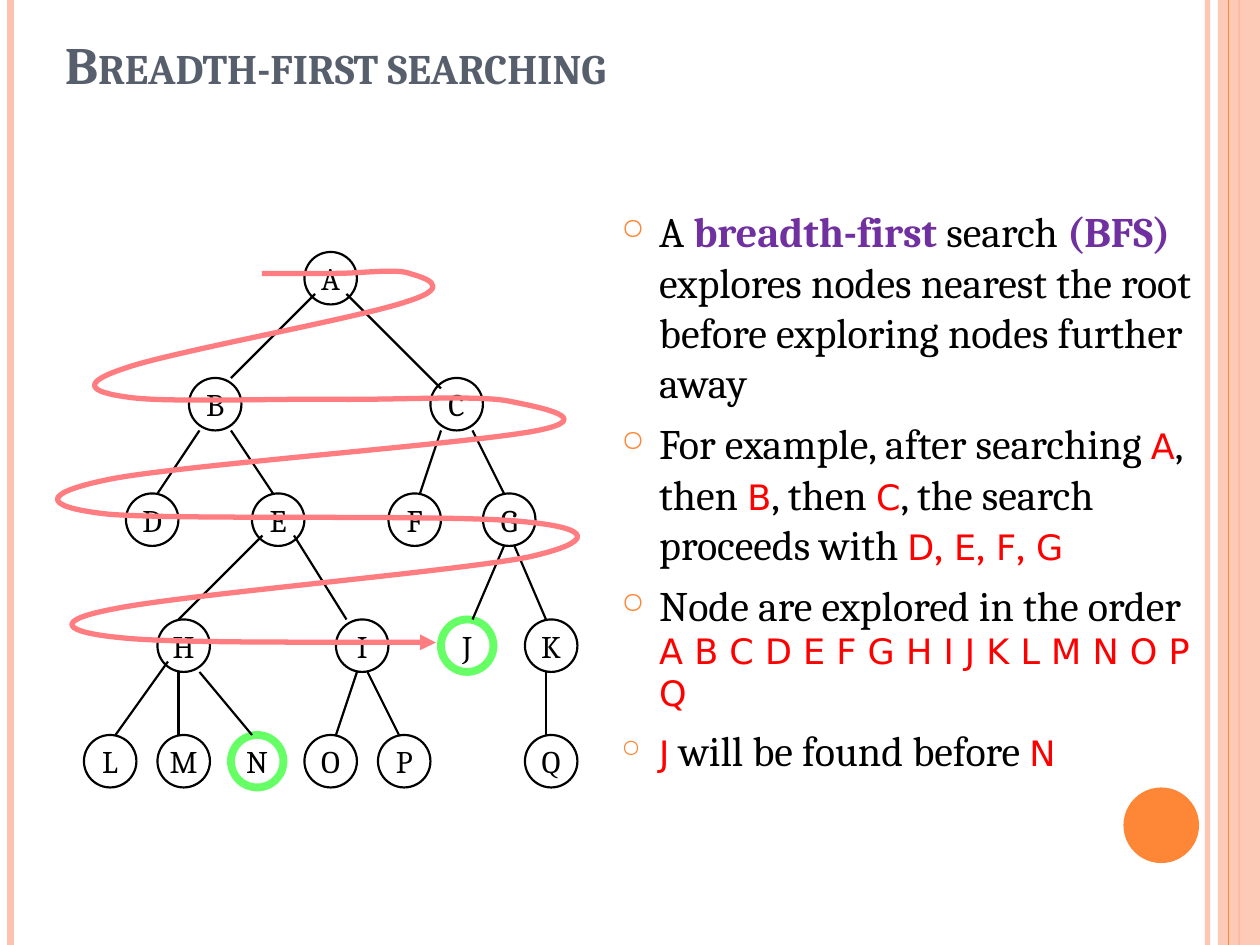
from dataclasses import dataclass
from typing import NamedTuple

from lxml.etree import SubElement
from pptx import Presentation
from pptx.dml.color import RGBColor
from pptx.enum.shapes import MSO_CONNECTOR, MSO_SHAPE
from pptx.enum.text import MSO_ANCHOR, PP_ALIGN
from pptx.oxml.ns import qn
from pptx.util import Emu, Inches, Pt

CELL = Inches(1) // 12  # the slide is a grid of 120 columns by 90 rows
COLUMNS, ROWS = 120, 90
NODE_SIZE = 5


class Style(NamedTuple):
    size: int
    font: str
    color: str
    bold: bool = False


@dataclass(frozen=True)
class Theme:
    orange: str = "FE8637"
    peach: str = "FEC3AE"
    ink: str = "000000"
    goal: str = "66FF66"
    route: str = "FF7C80"
    title: Style = Style(30, "Cambria", "575F6D", True)
    body: Style = Style(24, "Cambria", "000000")
    term: Style = Style(24, "Cambria", "7030A0", True)
    letter: Style = Style(20, "DejaVu Sans", "FF0000")
    comma: Style = Style(24, "Cambria", "FF0000")
    node: Style = Style(18, "Cambria", "000000")


THEME = Theme()


class Rule(NamedTuple):
    x: float
    color: str
    width: float
    opacity: int = 100


class Level(NamedTuple):
    row: int
    columns: dict[str, int]


class Edge(NamedTuple):
    x1: int
    y1: int
    x2: int
    y2: int


RULES = [Rule(115, THEME.peach, 3, 93), Rule(1, THEME.peach, 4.5),
         Rule(118, THEME.orange, 1.5)]
BAND_RULE = Rule(117, THEME.orange, 0.75)

LEVELS = [
    Level(24, {"A": 29}),
    Level(36, {"B": 18, "C": 41}),
    Level(47, {"D": 12, "E": 24, "F": 37, "G": 46}),
    Level(59, {"H": 15, "I": 32, "J": 42, "K": 50}),
    Level(70, {"L": 8, "M": 15, "N": 22, "O": 29, "P": 36, "Q": 50}),
]
GOALS = {"J", "N"}

EDGES = [
    Edge(22, 36, 30, 28), Edge(33, 28, 42, 37),
    Edge(19, 41, 15, 47), Edge(22, 41, 26, 47),
    Edge(42, 41, 40, 47), Edge(45, 41, 48, 47),
    Edge(17, 59, 25, 51), Edge(33, 59, 28, 51),
    Edge(45, 59, 48, 52), Edge(52, 59, 49, 52),
    Edge(11, 70, 16, 63), Edge(17, 70, 17, 64), Edge(24, 70, 19, 64),
    Edge(32, 70, 34, 64), Edge(38, 70, 35, 64), Edge(52, 70, 52, 64),
]

# Search route in inches: start, then two handles and an end for each curve
ROUTE_START = (2.08, 2.17)
ROUTE_CURVES = [
    ((2.18, 2.17), (2.47, 2.17), (2.67, 2.17)),
    ((2.86, 2.17), (3.15, 2.13), (3.25, 2.17)),
    ((3.35, 2.2), (3.62, 2.27), (3.24, 2.39)),
    ((2.87, 2.52), (1.37, 2.79), (1, 2.92)),
    ((0.63, 3.04), (0.71, 3.11), (1, 3.15)),
    ((1.29, 3.2), (2.25, 3.16), (2.75, 3.17)),
    ((3.25, 3.17), (3.77, 3.14), (4.02, 3.18)),
    ((4.27, 3.23), (4.77, 3.32), (4.25, 3.42)),
    ((3.73, 3.52), (1.46, 3.69), (0.89, 3.8)),
    ((0.33, 3.91), (0.31, 4.02), (0.85, 4.08)),
    ((1.39, 4.13), (3.59, 4.08), (4.15, 4.14)),
    ((4.71, 4.19), (4.73, 4.3), (4.2, 4.42)),
    ((3.66, 4.53), (1.46, 4.72), (0.92, 4.83)),
    ((0.38, 4.93), (0.53, 5.02), (0.95, 5.06)),
    ((1.38, 5.11), (2.94, 5.09), (3.46, 5.1)),
]

BODY, TERM, LETTER, COMMA = THEME.body, THEME.term, THEME.letter, THEME.comma
POINTS = [
    [("A ", BODY), ("breadth-first", TERM), (" search ", BODY), ("(BFS) ", TERM),
     ("explores nodes nearest the root before exploring nodes further away", BODY)],
    [("For example, after searching ", BODY), ("A", LETTER), (", then ", BODY),
     ("B", LETTER), (", then ", BODY), ("C", LETTER),
     (", the search proceeds with ", BODY), ("D", LETTER), (",", COMMA),
     (" E", LETTER), (",", COMMA), (" F", LETTER), (",", COMMA), (" G", LETTER)],
    [("Node are explored in the order ", BODY),
     ("A B C D E F G H I J K L M N O P Q", LETTER)],
    [("J", LETTER), (" will be found before ", BODY), ("N", LETTER)],
]


def grid(cells: float) -> Emu:
    return Emu(round(cells * CELL))


def set_opacity(fill_parent, percent: int) -> None:
    color = next(fill_parent.iter(qn("a:srgbClr")))
    SubElement(color, qn("a:alpha"), val=str(percent * 1000))


def style_run(run, style: Style) -> None:
    font = run.font
    font.size, font.name, font.bold = Pt(style.size), style.font, style.bold
    font.color.rgb = RGBColor.from_string(style.color)


def set_line(line, color: str, width: float) -> None:
    line.color.rgb = RGBColor.from_string(color)
    line.width = Pt(width)


def add_line(shapes, edge: Edge, color: str, width: float):
    line = shapes.add_connector(MSO_CONNECTOR.STRAIGHT, *map(grid, edge))
    set_line(line.line, color, width)
    SubElement(line._element.spPr, qn("a:effectLst"))
    return line


def add_rule(shapes, rule: Rule) -> None:
    line = add_line(shapes, Edge(rule.x, 0, rule.x, ROWS), rule.color, rule.width)
    if rule.opacity < 100:
        set_opacity(line._element.spPr, rule.opacity)


def add_filled(shapes, preset, x: float, y: float, width: float, height: float, color: str):
    shape = shapes.add_shape(preset, *map(grid, (x, y, width, height)))
    shape.shadow.inherit = False
    shape.fill.solid()
    shape.fill.fore_color.rgb = RGBColor.from_string(color)
    shape.line.fill.background()
    return shape


def add_frame(slide) -> None:
    for rule in RULES:
        add_rule(slide.shapes, rule)
    band = add_filled(slide.shapes, MSO_SHAPE.RECTANGLE, 116, 0, 4, ROWS, THEME.peach)
    set_opacity(band._element.spPr, 87)
    add_rule(slide.shapes, BAND_RULE)
    add_filled(slide.shapes, MSO_SHAPE.OVAL, 107, 75, 7.2, 7.2, THEME.orange)


def add_title(slide) -> None:
    frame = slide.shapes.add_textbox(*map(grid, (5, 1, 98, 8.6))).text_frame
    frame.word_wrap, frame.vertical_anchor = True, MSO_ANCHOR.BOTTOM
    frame.text = "Breadth-first searching"
    run = frame.paragraphs[0].runs[0]
    style_run(run, THEME.title)
    run.font._element.set("cap", "small")


def add_bullet(paragraph) -> None:
    indent = Inches(0.3)
    props = paragraph._p.get_or_add_pPr()
    props.set("marL", str(indent))
    props.set("indent", str(-indent))
    SubElement(SubElement(props, qn("a:buClr")), qn("a:srgbClr"), val=THEME.orange)
    SubElement(props, qn("a:buSzPct"), val="70000")
    SubElement(props, qn("a:buChar"), char="○")


def add_points(slide) -> None:
    frame = slide.shapes.add_textbox(*map(grid, (58, 19, 57, 66))).text_frame
    frame.word_wrap = True
    for index, point in enumerate(POINTS):
        paragraph = frame.add_paragraph() if index else frame.paragraphs[0]
        paragraph.space_before = Pt(6)
        add_bullet(paragraph)
        for words, style in point:
            run = paragraph.add_run()
            run.text = words
            style_run(run, style)


def add_node(shapes, letter: str, column: int, row: int) -> None:
    node = shapes.add_shape(MSO_SHAPE.OVAL, *map(grid, (column, row, NODE_SIZE, NODE_SIZE)))
    node.shadow.inherit = False
    node.fill.background()
    set_line(node.line, *((THEME.goal, 4.5) if letter in GOALS else (THEME.ink, 1.25)))
    frame = node.text_frame
    frame.word_wrap, frame.vertical_anchor = False, MSO_ANCHOR.MIDDLE
    frame.text = letter
    frame.paragraphs[0].alignment = PP_ALIGN.CENTER
    style_run(frame.paragraphs[0].runs[0], THEME.node)


def add_tree(slide) -> None:
    shapes = slide.shapes.add_group_shape().shapes
    for level in LEVELS:
        for letter, column in level.columns.items():
            add_node(shapes, letter, column, level.row)
    for edge in EDGES:
        add_line(shapes, edge, THEME.ink, 1.25)


def add_route(slide) -> None:
    """Draw the search order, turning each three line segments into one curve."""
    builder = slide.shapes.build_freeform(*ROUTE_START, scale=Inches(1))
    builder.add_line_segments([p for curve in ROUTE_CURVES for p in curve], close=False)
    # Whole EMU keep the hundredths of an inch in the path
    builder = slide.shapes.build_freeform(*map(Inches, ROUTE_START))
    builder.add_line_segments(
        [tuple(map(Inches, p)) for curve in ROUTE_CURVES for p in curve], close=False)
    route = builder.convert_to_shape()
    outline = next(route._element.iter(qn("a:path")))
    segments = outline.findall(qn("a:lnTo"))
    for start in range(0, len(segments), 3):
        curve = SubElement(outline, qn("a:cubicBezTo"))
        for segment in segments[start:start + 3]:
            curve.append(segment[0])
            outline.remove(segment)
    route.shadow.inherit = False
    route.fill.background()
    set_line(route.line, THEME.route, 3)
    SubElement(route._element.spPr.find(qn("a:ln")), qn("a:tailEnd"), type="triangle")


def main() -> None:
    deck = Presentation()
    deck.slide_width, deck.slide_height = grid(COLUMNS), grid(ROWS)
    slide = deck.slides.add_slide(deck.slide_layouts[6])
    for draw in (add_frame, add_title, add_points, add_tree, add_route):
        draw(slide)
    deck.save("out.pptx")


if __name__ == "__main__":
    main()
